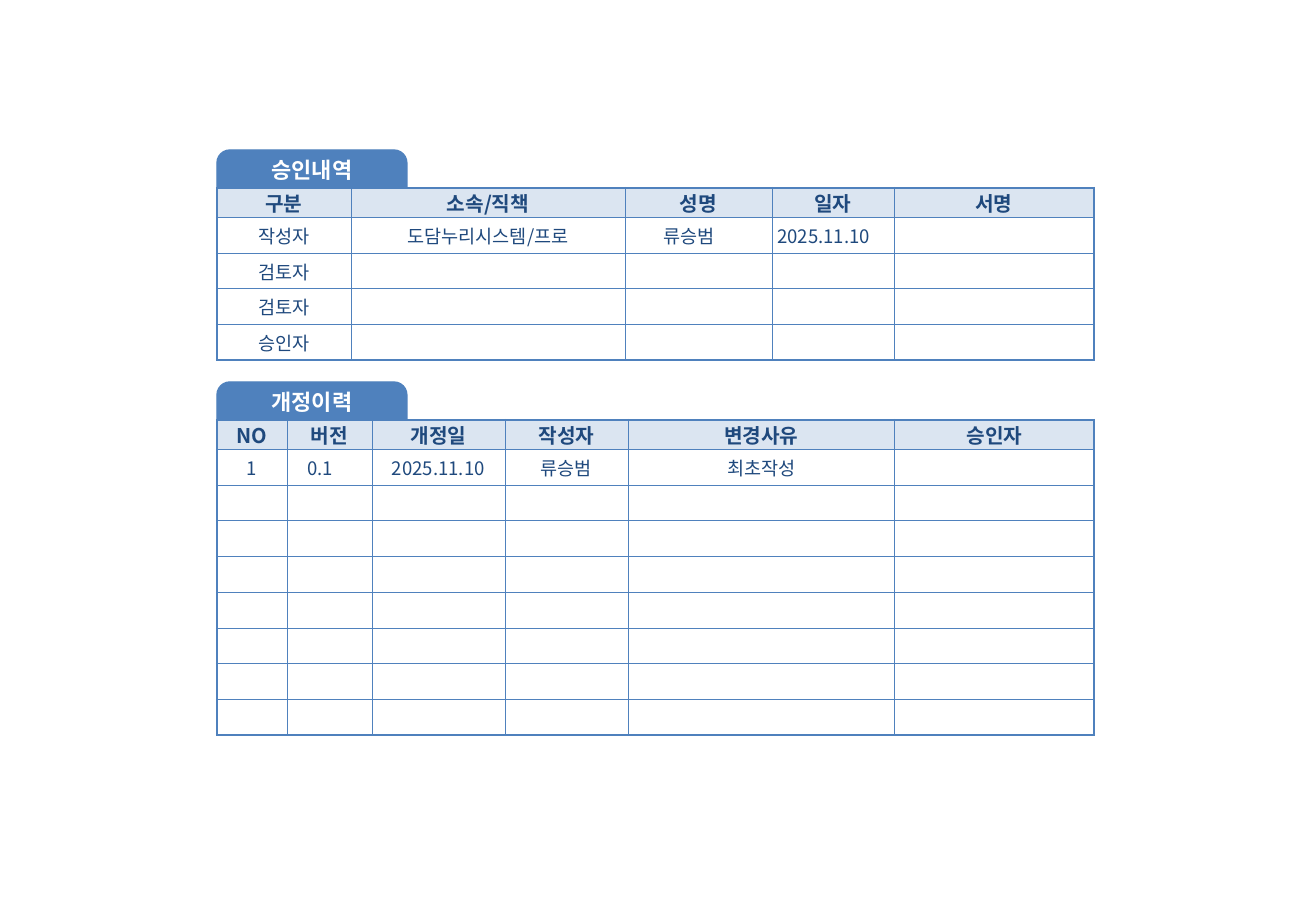
from lxml import etree
from pptx import Presentation, util as u
from pptx.dml.color import RGBColor
from pptx.enum import shapes, text
from pptx.oxml.ns import qn

FONT = "Noto Sans CJK KR"
BLUE, NAVY, PALE, WHITE = "4F81BD", "1F497D", "DBE5F1", "FFFFFF"
EMU_PER_PX = 914400 / 121.5
SLIDE_SIZE = (1316, 911)
LEFT, TAB_WIDTH, TAB_HEIGHT, HEADER_HEIGHT = 217, 190, 38, 27
THIN, THICK = 0.5, 1.5

SECTIONS = [
    {
        "title": "승인내역",
        "top": 188,
        "body_height": 143,
        "columns": [134, 274, 147, 122, 200],
        "rows": [
            ["구분", "소속/직책", "성명", "일자", "서명"],
            ["작성자", "도담누리시스템/프로", "류승범　", "2025.11.10　", ""],
            ["검토자", "", "", "", ""],
            ["검토자", "", "", "", ""],
            ["승인자", "", "", "", ""],
        ],
    },
    {
        "title": "개정이력",
        "top": 420,
        "body_height": 286,
        "columns": [70, 85, 133, 123, 267, 199],
        "rows": [
            ["NO", "버전", "개정일", "작성자", "변경사유", "승인자"],
            ["1", "0.1　", "2025.11.10", "류승범", "최초작성", ""],
        ] + [[""] * 6] * 7,
    },
]


def px(length):
    return u.Emu(round(length * EMU_PER_PX))


def color(value):
    return RGBColor.from_string(value)


def write(frame, words, size, ink, bold):
    paragraph = frame.paragraphs[0]
    paragraph.alignment = text.PP_ALIGN.CENTER
    if not words:
        etree.SubElement(paragraph._p, qn("a:endParaRPr"), sz=str(size * 100))
        return
    run = paragraph.add_run()
    run.text = words
    run.font.size = u.Pt(size)
    run.font.bold = bold
    run.font.color.rgb = color(ink)
    run.font.name = FONT
    etree.SubElement(run._r.get_or_add_rPr(), qn("a:ea"), typeface=FONT)


def add_border(cell, side, width):
    line = etree.SubElement(cell._tc.get_or_add_tcPr(), qn(f"a:ln{side}"), w=str(u.Pt(width)))
    fill = etree.SubElement(line, qn("a:solidFill"))
    etree.SubElement(fill, qn("a:srgbClr"), val=BLUE)


def format_cell(cell, words, is_header, outer_sides):
    cell.margin_left = cell.margin_right = cell.margin_top = cell.margin_bottom = 0
    cell.vertical_anchor = text.MSO_ANCHOR.MIDDLE
    for side, is_outer in outer_sides.items():
        add_border(cell, side, THICK if is_outer else THIN)
    if is_header:
        cell.fill.solid()
        cell.fill.fore_color.rgb = color(PALE)
    else:
        cell.fill.background()
    write(cell.text_frame, words, 12 if is_header else 11, NAVY, is_header)


def add_section_table(slide, section):
    rows, columns = section["rows"], section["columns"]
    last_row, last_column = len(rows) - 1, len(columns) - 1
    table = slide.shapes.add_table(
        len(rows), len(columns), px(LEFT), px(section["top"]),
        px(sum(columns)), px(HEADER_HEIGHT + section["body_height"]),
    ).table
    table.first_row = table.horz_banding = False
    for column, width in zip(table.columns, columns):
        column.width = px(width)
    for r, row in enumerate(rows):
        table.rows[r].height = px(section["body_height"] / last_row if r else HEADER_HEIGHT)
        for c, words in enumerate(row):
            outer_sides = {"L": c == 0, "R": c == last_column, "T": r == 0, "B": r == last_row}
            format_cell(table.cell(r, c), words, r == 0, outer_sides)


def add_section_tab(slide, section):
    shape = slide.shapes.add_shape(
        shapes.MSO_SHAPE.ROUND_2_SAME_RECTANGLE,
        px(LEFT), px(section["top"] - TAB_HEIGHT), px(TAB_WIDTH), px(TAB_HEIGHT),
    )
    shape.adjustments[0] = 0.34
    shape.adjustments[1] = 0
    shape.shadow.inherit = False
    shape.fill.solid()
    shape.fill.fore_color.rgb = color(BLUE)
    shape.line.color.rgb = color(BLUE)
    shape.line.width = u.Pt(0.75)
    frame = shape.text_frame
    frame.word_wrap = True
    frame.vertical_anchor = text.MSO_ANCHOR.MIDDLE
    frame.margin_left = frame.margin_right = px(5)
    frame.margin_top, frame.margin_bottom = 0, px(2)
    write(frame, section["title"], 13, WHITE, True)


def main():
    presentation = Presentation()
    presentation.slide_width, presentation.slide_height = map(px, SLIDE_SIZE)
    slide = presentation.slides.add_slide(presentation.slide_layouts[6])
    for section in SECTIONS:
        add_section_table(slide, section)
    for section in SECTIONS:
        add_section_tab(slide, section)
    presentation.save("out.pptx")


if __name__ == "__main__":
    main()
